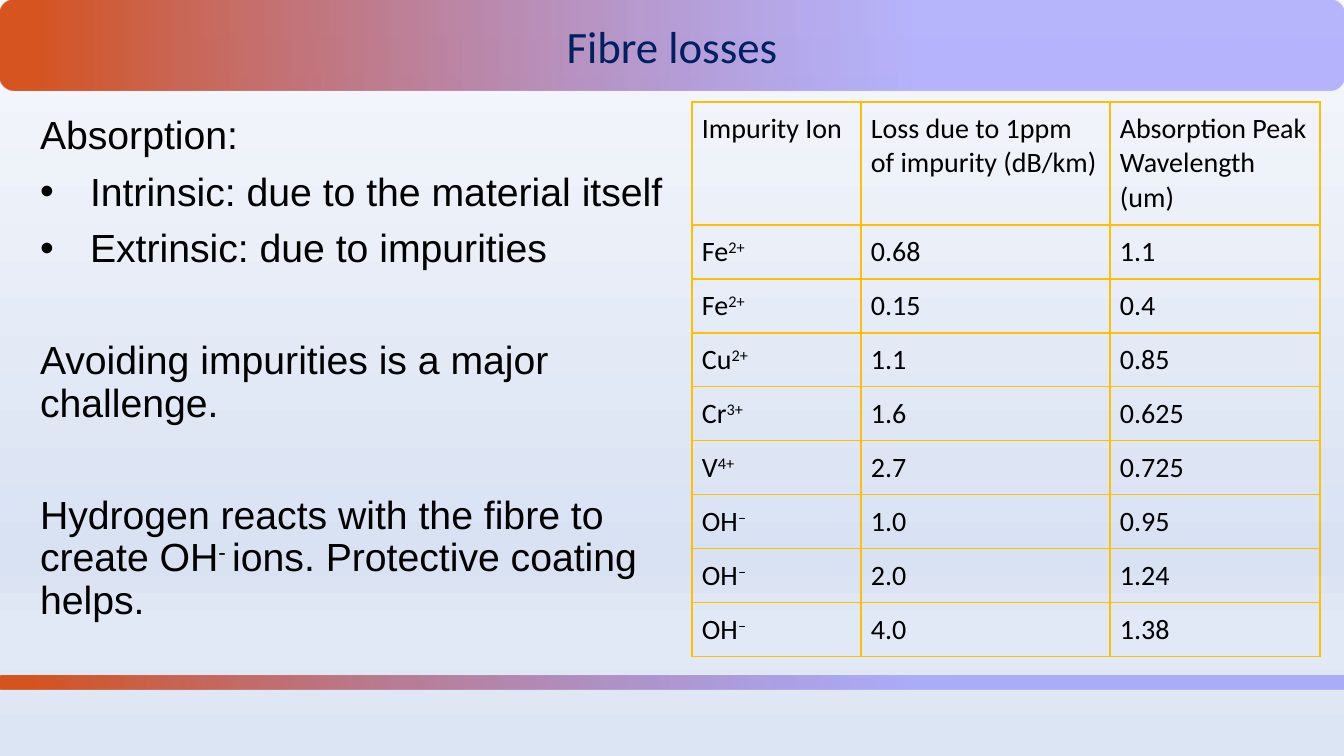
"""Builds the slide on fibre losses: absorption notes beside a table of impurity ions."""
from lxml.etree import SubElement
from pptx import Presentation
from pptx.dml.color import RGBColor
from pptx.enum.shapes import MSO_SHAPE
from pptx.enum.text import MSO_ANCHOR, MSO_AUTO_SIZE, PP_ALIGN
from pptx.oxml.ns import qn
from pptx.util import Pt

PX = 914400 / 100.8
ORANGE = RGBColor(0xD6, 0x54, 0x20)
VIOLET = RGBColor(0x7B, 0x75, 0xFB)
NAVY = RGBColor(0x00, 0x20, 0x60)
BLACK = RGBColor(0x00, 0x00, 0x00)
GOLD = RGBColor(0xFF, 0xC0, 0x00)
PALE_TOP = RGBColor(0xF6, 0xF8, 0xFC)
PALE_MIDDLE = RGBColor(0xD9, 0xE2, 0xF3)
PALE_LOW = RGBColor(0xE2, 0xE9, 0xF6)
PALE_BOTTOM = RGBColor(0xDC, 0xE5, 0xF4)
MARGINS = ("margin_left", "margin_top", "margin_right", "margin_bottom")


def px(*lengths):
    """Turn pixel lengths into EMU."""
    return [round(length * PX) for length in lengths]


def write(para, text, **style):
    """Add text to a paragraph, raising the parts between carets."""
    for index, part in enumerate(text.split("^")):
        if part:
            span = para.add_run()
            span.text = part
            span.font.name = style["name"]
            span.font.size = Pt(style["size"])
            span.font.color.rgb = style["color"]
            if index % 2:
                span._r.get_or_add_rPr().set("baseline", "30000")


deck = Presentation()
deck.slide_width, deck.slide_height = px(1344, 756)
page = deck.slides.add_slide(deck.slide_layouts[5])

band, strip = [page.shapes.add_shape(MSO_SHAPE.ROUNDED_RECTANGLE, *px(0, top, 1344, height))
               for top, height in ((0, 91), (676, 13))]
for bar in (band, strip):
    bar.shadow.inherit = False
    bar.line.fill.background()
    page.shapes.title.element.addprevious(bar.element)

bar_stops = [(2, ORANGE, 100), (68, VIOLET, 51)]
page_stops = [(0, PALE_TOP, 100), (74, PALE_MIDDLE, 100), (83, PALE_LOW, 100), (100, PALE_BOTTOM, 47)]
for fill, element, angle, stops in (
    (page.background.fill, page.element, 270, page_stops),
    (band.fill, band.element, 0, bar_stops),
    (strip.fill, strip.element, 0, bar_stops),
):
    fill.gradient()
    fill.gradient_angle = angle
    stop_list = next(element.iter(qn("a:gsLst")))
    for stop in list(stop_list):
        stop_list.remove(stop)
    for position, color, opacity in stops:
        stop = SubElement(stop_list, qn("a:gs"), pos=str(position * 1000))
        shade = SubElement(stop, qn("a:srgbClr"), val=str(color))
        if opacity < 100:
            SubElement(shade, qn("a:alpha"), val=str(opacity * 1000))

title = page.shapes.title
title.left, title.top, title.width, title.height = px(0, 20, 1344, 46)
title_frame = title.text_frame
title_frame.auto_size = MSO_AUTO_SIZE.NONE
title_frame.vertical_anchor = MSO_ANCHOR.TOP
for margin in MARGINS:
    setattr(title_frame, margin, px(5)[0])
title_para = title_frame.paragraphs[0]
title_para.alignment = PP_ALIGN.CENTER
title_para.line_spacing = 0.9
write(title_para, "Fibre losses", name="Calibri", size=32, color=NAVY)

notes = [
    ("Absorption:", False, 0),
    ("Intrinsic: due to the material itself", True, 10),
    ("Extrinsic: due to impurities", True, 10),
    ("Avoiding impurities is a major challenge.", False, 50),
    ("Hydrogen reacts with the fibre to create OH^- ^ions. Protective coating helps.", False, 50),
]
notes_frame = page.shapes.add_textbox(*px(30, 111, 677, 108)).text_frame
notes_frame.word_wrap = True
for margin, inset in zip(MARGINS, px(10, 5, 10, 5)):
    setattr(notes_frame, margin, inset)
for index, (text, bulleted, gap) in enumerate(notes):
    para = notes_frame.add_paragraph() if index else notes_frame.paragraphs[0]
    para.line_spacing = 0.9
    para.space_before = Pt(gap)
    if bulleted:
        indent = px(50)[0]
        properties = para._p.get_or_add_pPr()
        properties.set("marL", str(indent))
        properties.set("indent", str(-indent))
        SubElement(properties, qn("a:buFont"), typeface="Arial")
        SubElement(properties, qn("a:buChar"), char="•")
    write(para, text, name="Arial", size=28, color=BLACK)

losses = [
    ("Impurity Ion", "Loss due to 1ppm of impurity (dB/km)", "Absorption Peak Wavelength (um)"),
    ("Fe^2+", "0.68", "1.1"),
    ("Fe^2+", "0.15", "0.4"),
    ("Cu^2+", "1.1", "0.85"),
    ("Cr^3+", "1.6", "0.625"),
    ("V^4+", "2.7", "0.725"),
    ("OH^–", "1.0", "0.95"),
    ("OH^–", "2.0", "1.24"),
    ("OH^–", "4.0", "1.38"),
]
table = page.shapes.add_table(len(losses), 3, *px(692, 102, 628, 555)).table
table.first_row = table.horz_banding = False
for column, width in zip(table.columns, px(169, 249, 210)):
    column.width = width
for index, (row, values) in enumerate(zip(table.rows, losses)):
    row.height = px(54 if index else 123)[0]
    for cell, value in zip(row.cells, values):
        for margin in MARGINS:
            setattr(cell, margin, px(10)[0])
        properties = cell._tc.get_or_add_tcPr()
        for side in ("lnL", "lnR", "lnT", "lnB"):
            border = SubElement(properties, qn(f"a:{side}"), w=str(Pt(1)))
            SubElement(SubElement(border, qn("a:solidFill")), qn("a:srgbClr"), val=str(GOLD))
        cell.fill.background()
        write(cell.text_frame.paragraphs[0], value, name="Calibri", size=20, color=BLACK)

deck.save("out.pptx")
